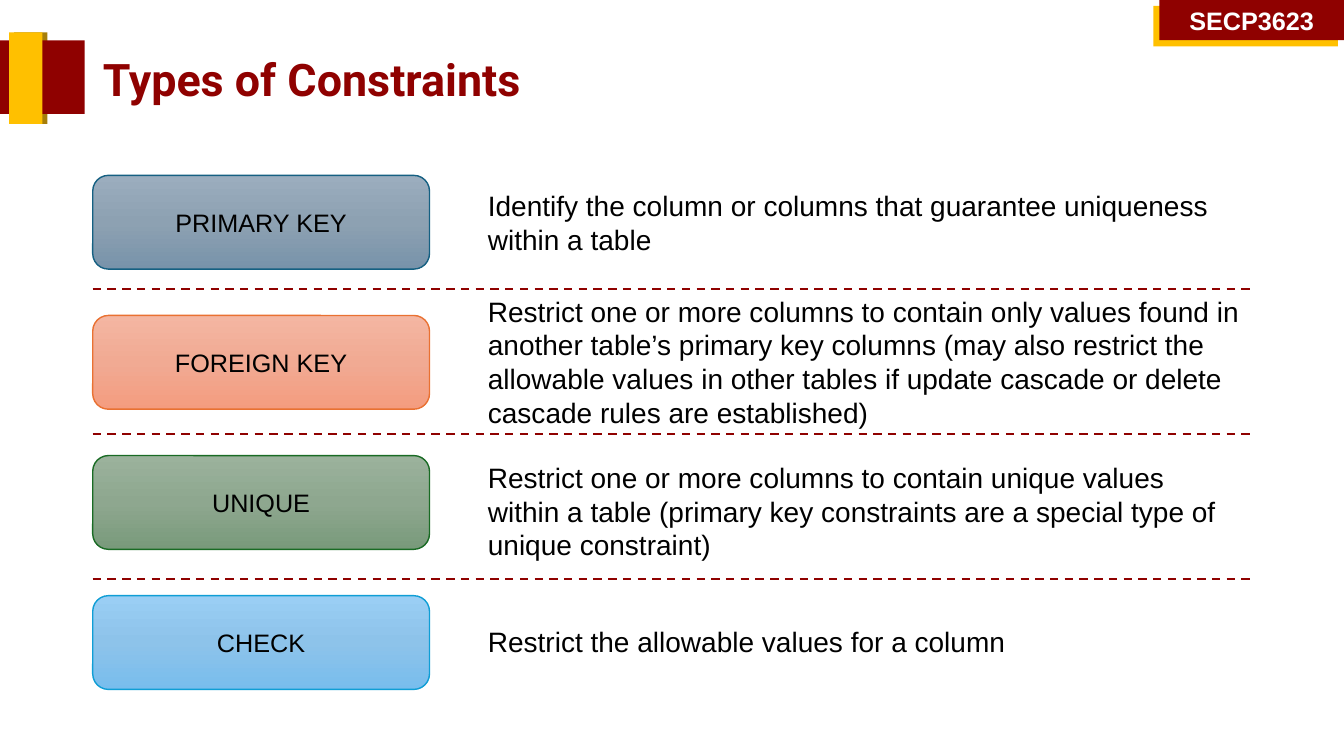
import copy
from dataclasses import dataclass

import pptx
import pptx.dml.color
import pptx.enum.dml
import pptx.enum.shapes
import pptx.enum.text
import pptx.oxml
import pptx.oxml.ns
import pptx.util

Inches = pptx.util.Inches
Pt = pptx.util.Pt
RGBColor = pptx.dml.color.RGBColor
MSO_SHAPE = pptx.enum.shapes.MSO_SHAPE
MSO_ANCHOR = pptx.enum.text.MSO_ANCHOR
MSO_AUTO_SIZE = pptx.enum.text.MSO_AUTO_SIZE
PP_ALIGN = pptx.enum.text.PP_ALIGN
qn = pptx.oxml.ns.qn

MAROON = RGBColor(0x8F, 0x01, 0x00)
GOLD = RGBColor(0xFF, 0xC0, 0x00)
DARK_GOLD = RGBColor(0xA6, 0x7E, 0x0A)
BLACK = RGBColor(0x00, 0x00, 0x00)
WHITE = RGBColor(0xFF, 0xFF, 0xFF)
BLUE_GREYS = (RGBColor(0x9B, 0xAD, 0xBE), RGBColor(0x8D, 0xA1, 0xB2), RGBColor(0x78, 0x93, 0xAA))
ORANGES = (RGBColor(0xF4, 0xB6, 0xA2), RGBColor(0xF1, 0xAA, 0x93), RGBColor(0xF4, 0x9C, 0x7F))
GREENS = (RGBColor(0x9B, 0xB2, 0x9C), RGBColor(0x8E, 0xA7, 0x8F), RGBColor(0x79, 0x9A, 0x7B))
SKIES = (RGBColor(0x9A, 0xCE, 0xF4), RGBColor(0x8D, 0xC3, 0xEA), RGBColor(0x78, 0xBD, 0xED))
TEAL_LINE = RGBColor(0x15, 0x60, 0x82)
ORANGE_LINE = RGBColor(0xE9, 0x71, 0x32)
GREEN_LINE = RGBColor(0x19, 0x6B, 0x24)
SKY_LINE = RGBColor(0x0F, 0x9E, 0xD5)

LEFT, RIGHT = 0.92, 12.42
ROW_TOP, ROW_STEP = 1.74, 1.39
BUTTON_W, BUTTON_H = 3.34, 0.93
TEXT_LEFT, TEXT_W = 4.74, 7.68
RULE_TOP, RULE_STEP = 2.87, 1.435

TITLE_FONT = {"name": "Roboto", "size": Pt(32), "bold": True}
CODE_FONT = {"name": "Arial", "size": Pt(18), "bold": True}
BUTTON_FONT = {"name": "Arial", "size": Pt(18)}
BODY_FONT = {"name": "Arial", "size": Pt(20)}


@dataclass
class Block:
    left: float
    top: float
    width: float
    height: float
    color: RGBColor
    text: str = ""


@dataclass
class Constraint:
    name: str
    text: str
    text_top: float
    text_height: float
    shades: tuple
    line: RGBColor


BLOCKS = [
    Block(11.44, 0.06, 1.83, 0.4, GOLD),
    Block(0.14, 0.32, 0.33, 0.91, DARK_GOLD),
    Block(0, 0.4, 0.84, 0.73, MAROON),
    Block(0.09, 0.32, 0.33, 0.91, GOLD),
    Block(11.5, 0, 1.83, 0.4, MAROON, "SECP3623"),
]

CONSTRAINTS = [
    Constraint("PRIMARY KEY",
               "Identify the column or columns that guarantee uniqueness within a table",
               1.82, 0.77, BLUE_GREYS, TEAL_LINE),
    Constraint("FOREIGN KEY",
               "Restrict one or more columns to contain only values found in another "
               "table’s primary key columns (may also restrict the allowable values in "
               "other tables if update cascade or delete cascade rules are established)",
               2.87, 1.45, ORANGES, ORANGE_LINE),
    Constraint("UNIQUE",
               "Restrict one or more columns to contain unique values within a table "
               "(primary key constraints are a special type of unique constraint)",
               4.52, 1.11, GREENS, GREEN_LINE),
    Constraint("CHECK", "Restrict the allowable values for a column",
               6.15, 0.44, SKIES, SKY_LINE),
]


def write(sp, text: str, font: dict, color: RGBColor, align=PP_ALIGN.LEFT,
          anchor=MSO_ANCHOR.MIDDLE) -> None:
    tf = sp.text_frame
    frame = {"word_wrap": True, "auto_size": MSO_AUTO_SIZE.NONE, "vertical_anchor": anchor}
    for key, value in frame.items():
        setattr(tf, key, value)
    p = tf.paragraphs[0]
    p.alignment = align
    r = p.add_run()
    r.text = text
    for key, value in font.items():
        setattr(r.font, key, value)
    r.font.color.rgb = color


def add_block(s, block: Block) -> None:
    sp = s.shapes.add_shape(MSO_SHAPE.RECTANGLE, Inches(block.left), Inches(block.top),
                            Inches(block.width), Inches(block.height))
    sp.shadow.inherit = False
    sp.fill.solid()
    sp.fill.fore_color.rgb = block.color
    sp.line.fill.background()
    if block.text:
        write(sp, block.text, CODE_FONT, WHITE, PP_ALIGN.CENTER)


def fill_gradient(sp, shades: tuple) -> None:
    sp.fill.gradient()
    sp.fill.gradient_angle = 270
    stops = sp._element.spPr.find(qn("a:gradFill")).find(qn("a:gsLst"))
    middle = copy.deepcopy(stops[0])
    middle.set("pos", "50000")
    stops.insert(1, middle)
    for stop, shade in zip(sp.fill.gradient_stops, shades):
        stop.color.rgb = shade


def add_constraint(s, row: int, item: Constraint) -> None:
    sp = s.shapes.add_shape(MSO_SHAPE.ROUNDED_RECTANGLE, Inches(LEFT),
                            Inches(ROW_TOP + row * ROW_STEP),
                            Inches(BUTTON_W), Inches(BUTTON_H))
    sp.shadow.inherit = False
    fill_gradient(sp, item.shades)
    sp.line.color.rgb = item.line
    sp.line.width = Pt(1)
    write(sp, item.name, BUTTON_FONT, BLACK, PP_ALIGN.CENTER)
    tb = s.shapes.add_textbox(Inches(TEXT_LEFT), Inches(item.text_top),
                              Inches(TEXT_W), Inches(item.text_height))
    write(tb, item.text, BODY_FONT, BLACK, anchor=MSO_ANCHOR.TOP)


def add_rule(s, top: float) -> None:
    ln = s.shapes.add_connector(pptx.enum.shapes.MSO_CONNECTOR.STRAIGHT, Inches(LEFT),
                                Inches(top), Inches(RIGHT), Inches(top))
    ln.line.color.rgb = MAROON
    ln.line.width = Pt(1.5)
    ln.line.dash_style = pptx.enum.dml.MSO_LINE.DASH
    ln._element.spPr.append(pptx.oxml.parse_xml(
        '<a:effectLst xmlns:a="http://schemas.openxmlformats.org/drawingml/2006/main"/>'))


def add_title(s, text: str) -> None:
    sp = s.shapes.title
    box = {"left": LEFT, "top": 0.4, "width": RIGHT - LEFT, "height": 0.83}
    for key, value in box.items():
        setattr(sp, key, Inches(value))
    write(sp, text, TITLE_FONT, MAROON)
    sp.text_frame.paragraphs[0].line_spacing = 0.9


def main() -> None:
    prs = pptx.Presentation()
    prs.slide_width = Inches(13.33)
    prs.slide_height = Inches(7.5)
    s = prs.slides.add_slide(prs.slide_layouts[5])
    for block in BLOCKS:
        add_block(s, block)
    add_title(s, "Types of Constraints")
    for row, item in enumerate(CONSTRAINTS):
        add_constraint(s, row, item)
    for i in range(len(CONSTRAINTS) - 1):
        add_rule(s, RULE_TOP + i * RULE_STEP)
    prs.save("out.pptx")


if __name__ == "__main__":
    main()
